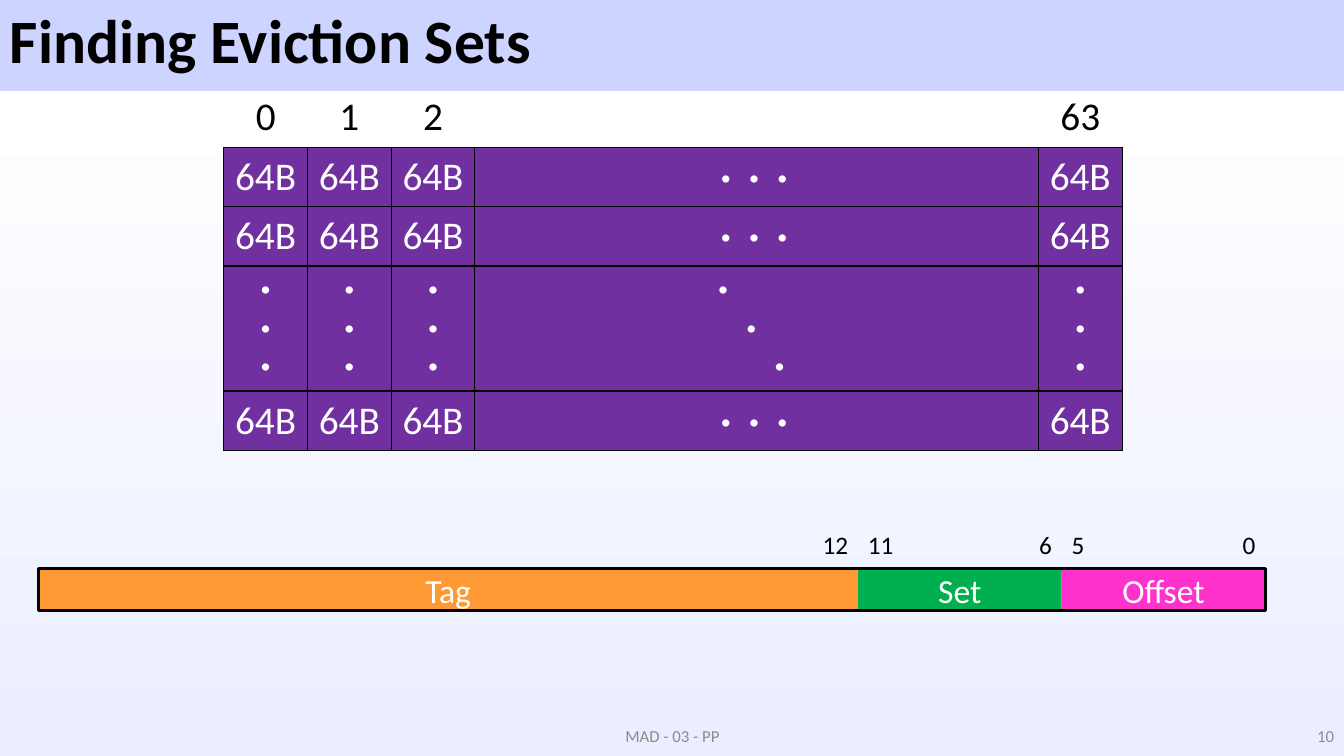
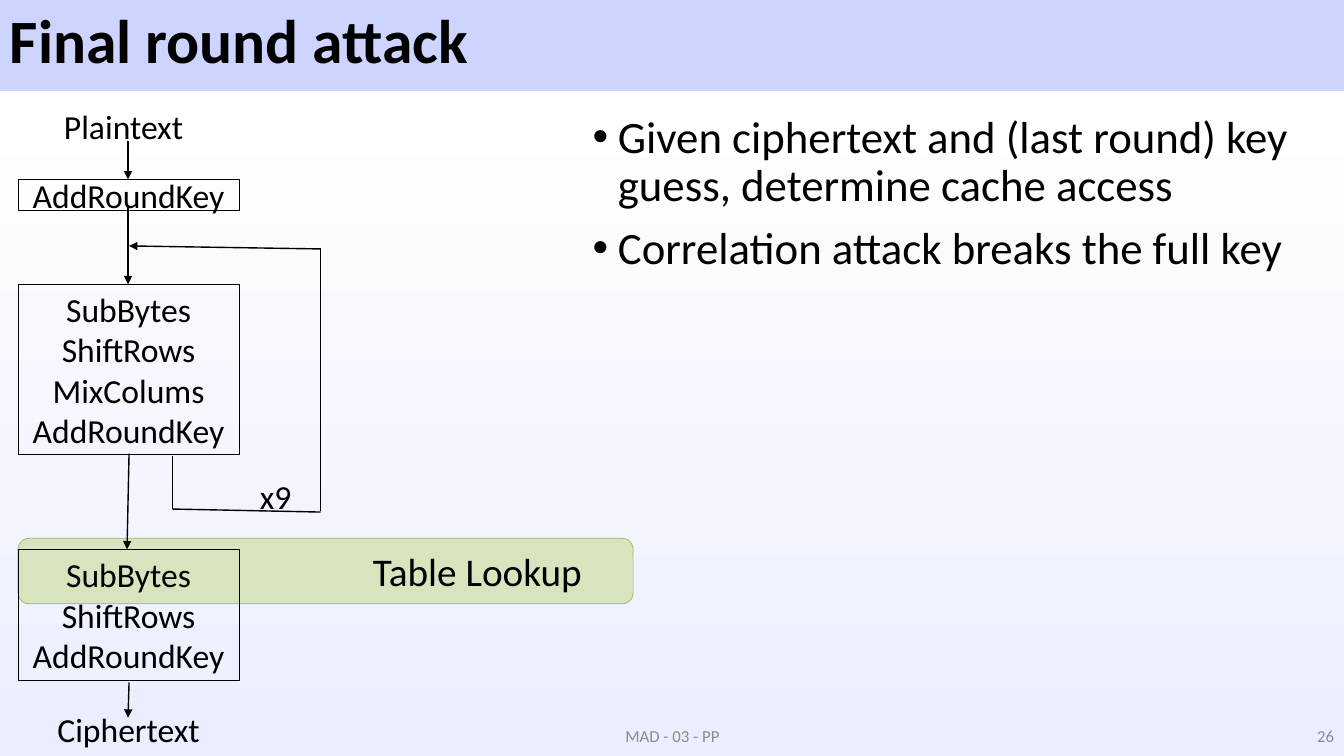
from copy import deepcopy
from dataclasses import dataclass
from typing import NamedTuple

from lxml.etree import SubElement
from pptx import Presentation
from pptx.dml.color import RGBColor
from pptx.enum.shapes import MSO_CONNECTOR, MSO_SHAPE
from pptx.enum.text import MSO_ANCHOR, PP_ALIGN
from pptx.oxml import parse_xml
from pptx.oxml.ns import nsdecls, qn
from pptx.util import Inches, Pt


@dataclass(frozen=True)
class Theme:
    font: str = "Calibri"
    black: str = "000000"
    white: str = "FFFFFF"
    grey: str = "8C8C8C"
    purple: str = "7030A0"
    orange: str = "FF9933"
    green: str = "00B050"
    pink: str = "FF33CC"
    lookup_fill: str = "D7E4BD"
    lookup_line: str = "9BBB59"
    backdrop: tuple = ((0, "CDD4FF"), (0.12, "CDD4FF"), (0.12, "FFFFFF"), (1, "EBEEFF"))
    title: int = 44
    body: int = 32
    cell: int = 28
    label: int = 24
    bit: int = 18
    footer: int = 12


class Box(NamedTuple):
    left: float
    top: float
    width: float
    height: float


class BitField(NamedTuple):
    name: str
    width: float
    color: str
    high: str
    low: str


class Step(NamedTuple):
    box: Box
    lines: list


class Line(NamedTuple):
    start: tuple
    end: tuple
    arrow: bool = True


T = Theme()
NO_STYLE = "{2D5ABB26-0587-4C30-8999-92F81FD0307C}"
DOT = "·"

FIELDS = [
    BitField("Tag", 8.13, T.orange, "", "12"),
    BitField("Set", 2.02, T.green, "11", "6"),
    BitField("Offset", 2.02, T.pink, "5", "0"),
]
STEPS = [
    Step(Box(0.18, 1.78, 2.19, 0.31), ["AddRoundKey"]),
    Step(Box(0.18, 2.82, 2.19, 1.69), ["SubBytes", "ShiftRows", "MixColums", "AddRoundKey"]),
    Step(Box(0.18, 5.45, 2.19, 1.3), ["SubBytes", "ShiftRows", "AddRoundKey"]),
]
FLOW = [
    Line((1.27, 1.4), (1.27, 1.78)),
    Line((1.27, 2.05), (1.27, 2.82)),
    Line((1.28, 4.5), (1.26, 5.45)),
    Line((1.71, 4.52), (1.71, 5.05), False),
    Line((1.71, 5.05), (3.18, 5.08), False),
    Line((3.18, 5.07), (3.18, 2.46), False),
    Line((3.18, 2.47), (1.28, 2.44)),
    Line((1.28, 6.77), (1.27, 7.12)),
]


def rgb(color: str) -> RGBColor:
    return RGBColor.from_string(color)


def inches(box: Box) -> list:
    return [Inches(v) for v in box]


def write(tf, lines, *, size=T.label, color=T.black, bold=False, align=PP_ALIGN.LEFT,
          spacing=None, before=0, indents=(), bullet=False, tracking=0) -> None:
    lines = [lines] if isinstance(lines, str) else lines
    for i, line in enumerate(lines):
        p = tf.add_paragraph() if i else tf.paragraphs[0]
        p.alignment = align
        p.space_before = Pt(before)
        if spacing:
            p.line_spacing = spacing
        r = p.add_run()
        r.text = line
        r.font.name = T.font
        r.font.size = Pt(size)
        r.font.bold = bold
        r.font.color.rgb = rgb(color)
        if tracking:
            r.font._element.set("spc", str(tracking))
        pPr = p._p.get_or_add_pPr()
        if indents:
            pPr.set("marL", str(Inches(indents[i])))
        if bullet:
            pPr.set("marL", str(Inches(0.25)))
            pPr.set("indent", str(Inches(-0.25)))
            SubElement(pPr, qn("a:buFont"), typeface="Arial")
            SubElement(pPr, qn("a:buChar"), char="•")


def add_text(s, box: Box, lines, *, anchor=MSO_ANCHOR.TOP, wrap=True, **fmt) -> None:
    tf = s.shapes.add_textbox(*inches(box)).text_frame
    tf.word_wrap = wrap
    tf.vertical_anchor = anchor
    write(tf, lines, **fmt)


def add_box(s, box: Box, lines=(), *, fill=None, line=None, width=0.5,
            kind=MSO_SHAPE.RECTANGLE, **fmt) -> None:
    sp = s.shapes.add_shape(kind, *inches(box))
    sp.shadow.inherit = False
    if fill:
        sp.fill.solid()
        sp.fill.fore_color.rgb = rgb(fill)
    else:
        sp.fill.background()
    if line:
        sp.line.color.rgb = rgb(line)
        sp.line.width = Pt(width)
    else:
        sp.line.fill.background()
    sp.text_frame.vertical_anchor = MSO_ANCHOR.MIDDLE
    write(sp.text_frame, lines, align=PP_ALIGN.CENTER, **fmt)


def add_line(s, line: Line) -> None:
    ends = [Inches(v) for v in line.start + line.end]
    cx = s.shapes.add_connector(MSO_CONNECTOR.STRAIGHT, *ends)
    cx.line.color.rgb = rgb(T.black)
    cx.line.width = Pt(1)
    spPr = cx.element.spPr
    if line.arrow:
        SubElement(spPr.find(qn("a:ln")), qn("a:tailEnd"), type="triangle")
    SubElement(spPr, qn("a:effectLst"))


def set_backdrop(prs) -> None:
    master = prs.slide_master
    fill = master.background.fill
    fill.gradient()
    fill.gradient_angle = 270
    stops = next(master.element.iter(qn("a:gsLst")))
    for _ in range(len(T.backdrop) - len(stops)):
        stops.append(deepcopy(stops[0]))
    for stop, (position, color) in zip(fill.gradient_stops, T.backdrop):
        stop.position = position
        stop.color.rgb = rgb(color)


def new_slide(prs, title: str, number: int):
    s = prs.slides.add_slide(prs.slide_layouts[6])
    add_text(s, Box(0, 0, 13.33, 0.87), title, anchor=MSO_ANCHOR.MIDDLE,
             size=T.title, bold=True, spacing=0.9)
    small = dict(anchor=MSO_ANCHOR.MIDDLE, size=T.footer, color=T.grey)
    add_text(s, Box(4.42, 7.1, 4.5, 0.4), "MAD - 03 - PP", align=PP_ALIGN.CENTER, **small)
    add_text(s, Box(10.33, 7.1, 3, 0.4), str(number), align=PP_ALIGN.RIGHT, **small)
    return s


def set_borders(tc, sides: str) -> None:
    tcPr = tc.get_or_add_tcPr()
    for i, side in enumerate(sides):
        tcPr.insert(i, parse_xml(
            f'<a:ln{side} {nsdecls("a")} w="12700"><a:solidFill>'
            f'<a:srgbClr val="{T.black}"/></a:solidFill></a:ln{side}>'))


def add_cache_table(s) -> None:
    widths = [0.83, 0.83, 0.83, 5.59, 0.83]
    heights = [0.59, 0.59, 0.59, 1.24, 0.59]
    headers = ["0", "1", "2", "", "63"]
    wide_col, dots_row = 3, 3
    box = Box(2.22, 0.87, sum(widths), sum(heights))
    frame = s.shapes.add_table(len(heights), len(widths), *inches(box))
    table = frame.table
    table.first_row = table.horz_banding = False
    next(frame._element.iter(qn("a:tableStyleId"))).text = NO_STYLE
    for col, width in zip(table.columns, widths):
        col.width = Inches(width)
    for row, height in zip(table.rows, heights):
        row.height = Inches(height)
    for i, tc in enumerate(frame._element.iter(qn("a:tc"))):
        r, c = divmod(i, len(widths))
        set_borders(tc, "LRTB" if r else "B")
        cell = table.cell(r, c)
        cell.vertical_anchor = MSO_ANCHOR.MIDDLE
        fmt = dict(size=T.cell, color=T.white, align=PP_ALIGN.CENTER)
        if r == 0:
            if headers[c]:
                write(cell.text_frame, headers[c], **fmt | dict(color=T.black))
            continue
        cell.fill.solid()
        cell.fill.fore_color.rgb = rgb(T.purple)
        text = "64B"
        if r == dots_row:
            text = [DOT] * 3
            fmt |= dict(bold=True, spacing=0.8)
            if c == wide_col:
                fmt |= dict(align=PP_ALIGN.LEFT, indents=[2.31 + 0.28 * k for k in range(3)])
        elif c == wide_col:
            text = " ".join(DOT * 3)
            fmt |= dict(bold=True, tracking=320)
            cell.margin_right = Inches(0.15)
        write(cell.text_frame, text, **fmt)


def add_address(s) -> None:
    start, top, height = 0.38, 5.64, 0.42
    label_top, label_width = 5.2, 0.48
    left = start
    for field in FIELDS:
        right = left + field.width
        add_box(s, Box(left, top, field.width, height), field.name,
                fill=field.color, color=T.white)
        if field.high:
            add_text(s, Box(left, label_top, label_width, 0.4), field.high, size=T.bit)
        add_text(s, Box(right - label_width, label_top, label_width, 0.4), field.low,
                 size=T.bit, align=PP_ALIGN.RIGHT)
        left = right
    add_box(s, Box(start, top, left - start, height), line=T.black, width=2.25)


def eviction_slide(prs) -> None:
    s = new_slide(prs, "Finding Eviction Sets", 10)
    add_cache_table(s)
    add_address(s)


def attack_slide(prs) -> None:
    s = new_slide(prs, "Final round attack", 26)
    add_text(s, Box(5.78, 1.09, 7.55, 6.02),
             ["Given ciphertext and (last round) key guess, determine cache access",
              "Correlation attack breaks the full key"],
             size=T.body, spacing=0.9, before=10, bullet=True)
    add_box(s, Box(0.18, 5.34, 6.1, 0.65), fill=T.lookup_fill, line=T.lookup_line,
            kind=MSO_SHAPE.ROUNDED_RECTANGLE)
    add_text(s, Box(0.17, 1, 2.11, 0.5), "Plaintext", align=PP_ALIGN.CENTER)
    add_text(s, Box(0.22, 6.98, 2.11, 0.5), "Ciphertext", align=PP_ALIGN.CENTER)
    for step in STEPS:
        add_box(s, step.box, step.lines, line=T.black)
    for line in FLOW:
        add_line(s, line)
    add_text(s, Box(2.48, 4.67, 0.54, 0.5), "x9")
    add_text(s, Box(3.6, 5.38, 2.3, 0.57), "Table Lookup", size=T.cell, wrap=False)


def main() -> None:
    prs = Presentation()
    prs.slide_width, prs.slide_height = Inches(13.33), Inches(7.5)
    set_backdrop(prs)
    eviction_slide(prs)
    attack_slide(prs)
    prs.save("out.pptx")


if __name__ == "__main__":
    main()
